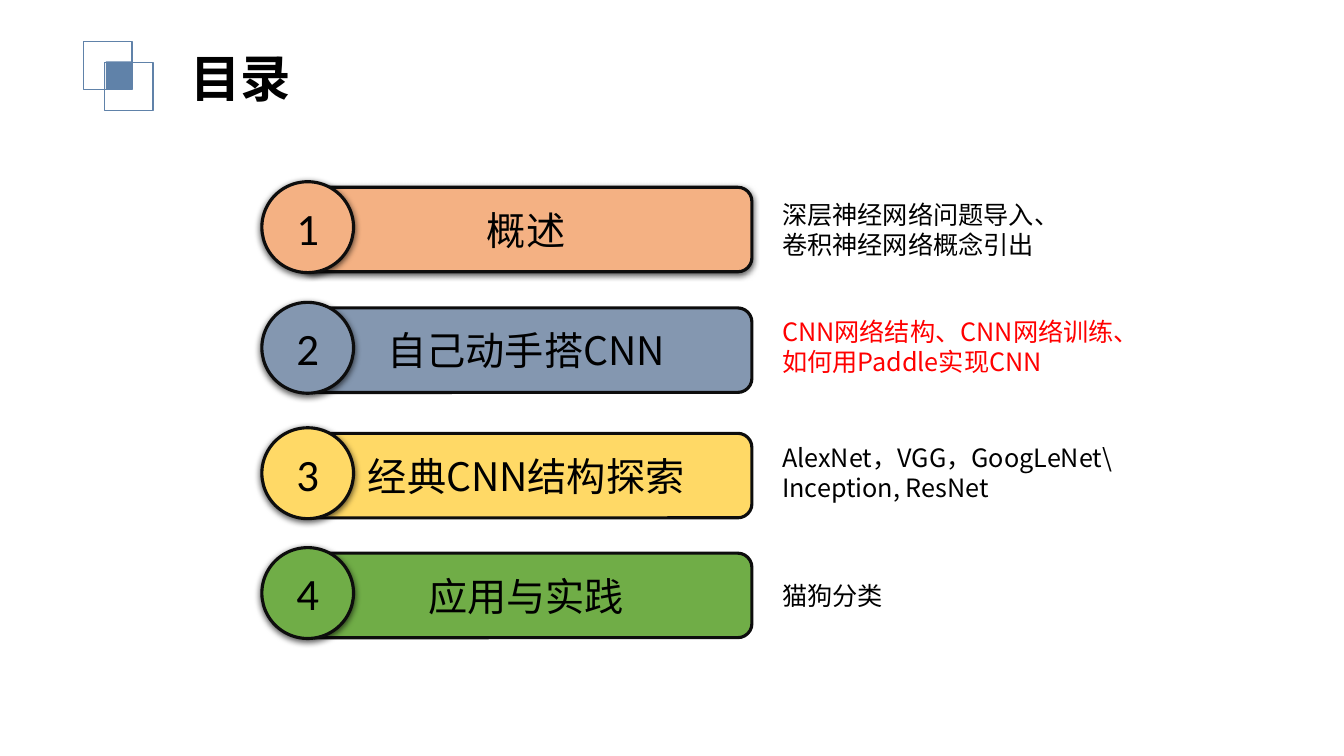
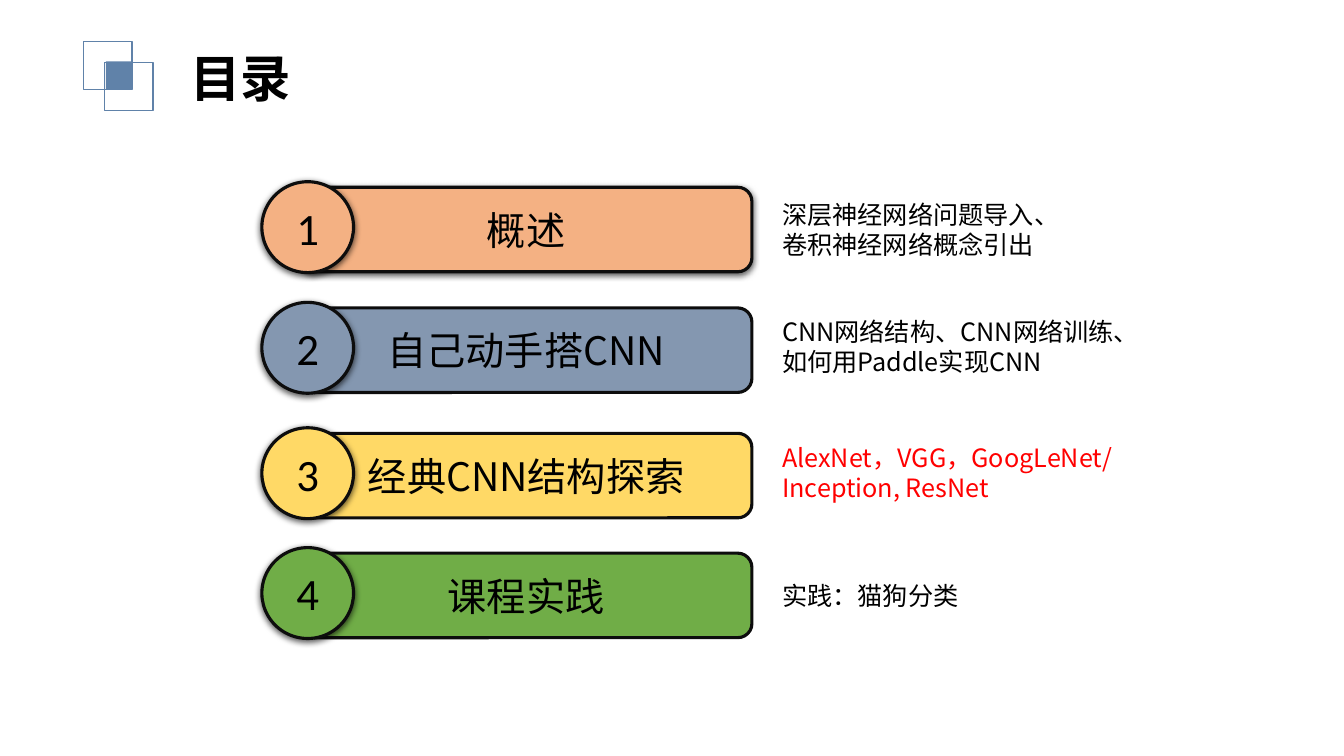
from lxml.etree import SubElement
from pptx import Presentation
from pptx.dml.color import RGBColor
from pptx.enum.shapes import MSO_SHAPE
from pptx.enum.text import MSO_ANCHOR, MSO_AUTO_SIZE, PP_ALIGN
from pptx.oxml.ns import qn
from pptx.util import Cm, Pt

BLACK = RGBColor(0x00, 0x00, 0x00)
RED = RGBColor(0xFF, 0x00, 0x00)
INK = RGBColor(0x0D, 0x0D, 0x0D)
STEEL = RGBColor(0x60, 0x82, 0xA9)
PEACH = RGBColor(0xF4, 0xB1, 0x83)
SLATE = RGBColor(0x84, 0x97, 0xB0)
GOLD = RGBColor(0xFF, 0xD9, 0x66)
GREEN = RGBColor(0x70, 0xAD, 0x47)
HAN = "Noto Sans CJK SC"
LATIN = "Calibri"

ROWS = [
    (PEACH, 4.72, 4.9),
    (SLATE, 7.76, 7.85),
    (GOLD, 10.92, 11.02),
    (GREEN, 13.94, 14.5),
]
INTRO = ("概述", "深层神经网络问题导入、\n卷积神经网络概念引出")
BUILD = ("自己动手搭CNN", "CNN网络结构、CNN网络训练、如何用Paddle实现CNN")
PAGES = [
    (2, [INTRO, BUILD,
         ("经典CNN结构探索", "AlexNet，VGG，GoogLeNet\\ Inception, ResNet"),
         ("应用与实践", "猫狗分类")]),
    (3, [INTRO, BUILD,
         ("经典CNN结构探索", "AlexNet，VGG，GoogLeNet/ Inception, ResNet"),
         ("课程实践", "实践：猫狗分类")]),
]


def write(frame, text, size=18, font=HAN, color=BLACK, bold=False,
          align=PP_ALIGN.LEFT):
    frame.word_wrap = True
    for index, line in enumerate(text.split("\n")):
        para = frame.paragraphs[0] if index == 0 else frame.add_paragraph()
        para.alignment = align
        run = para.add_run()
        run.text = line
        run.font.size = Pt(size)
        run.font.bold = bold
        run.font.color.rgb = color
        run.font.name = font
        SubElement(run.font._element, qn("a:ea"), typeface=font)


class Deck:
    def __init__(self):
        self.prs = Presentation()
        self.prs.slide_width = Cm(33.87)
        self.prs.slide_height = Cm(19.05)
        self.slide = None

    def page(self, title):
        self.slide = self.prs.slides.add_slide(self.prs.slide_layouts[6])
        for left, top in ((2.11, 1.04), (2.64, 1.57)):
            self.shape(MSO_SHAPE.RECTANGLE, left, top, 1.22, 1.22,
                       line=STEEL, weight=1)
        self.shape(MSO_SHAPE.RECTANGLE, 2.67, 1.55, 0.64, 0.69, fill=STEEL)
        self.label(title, 4.55, 1.07, 9.04, size=36, bold=True)

    def shape(self, kind, left, top, width, height, fill=None, line=None,
              weight=2.25):
        shape = self.slide.shapes.add_shape(
            kind, Cm(left), Cm(top), Cm(width), Cm(height))
        shape.shadow.inherit = False
        if fill is None:
            shape.fill.background()
        else:
            shape.fill.solid()
            shape.fill.fore_color.rgb = fill
        if line is None:
            shape.line.fill.background()
        else:
            shape.line.color.rgb = line
            shape.line.width = Pt(weight)
        return shape

    def label(self, text, left, top, width, **style):
        height = 1.8 if style.get("size") or len(text) > 12 else 1.02
        box = self.slide.shapes.add_textbox(
            Cm(left), Cm(top), Cm(width), Cm(height))
        write(box.text_frame, text, **style)
        box.text_frame.auto_size = MSO_AUTO_SIZE.SHAPE_TO_FIT_TEXT

    def shade(self, shape):
        effects = shape._element.spPr.find(qn("a:effectLst"))
        outer = SubElement(effects, qn("a:outerShdw"), blurRad=str(Pt(4.5)),
                           dist=str(Pt(1.5)), dir="5400000", rotWithShape="0")
        color = SubElement(outer, qn("a:srgbClr"), val=str(BLACK))
        SubElement(color, qn("a:alpha"), val="63000")

    def block(self, kind, text, left, top, width, height, fill, shadow=True,
              **style):
        shape = self.shape(kind, left, top, width, height, fill, INK)
        if shadow:
            self.shade(shape)
        shape.text_frame.vertical_anchor = MSO_ANCHOR.MIDDLE
        write(shape.text_frame, text, align=PP_ALIGN.CENTER, **style)

    def topic(self, number, name, note, active):
        fill, top, level = ROWS[number - 1]
        self.block(MSO_SHAPE.ROUNDED_RECTANGLE, name, 7.57, top, 11.38, 2.13,
                   fill, shadow=number == 1, size=28)
        self.block(MSO_SHAPE.OVAL, str(number), 6.6, top - 0.14, 2.31, 2.29,
                   fill, size=32, font=LATIN)
        self.label(note, 19.46, level, 9.55, color=RED if active else BLACK)


def main():
    deck = Deck()
    for active, topics in PAGES:
        deck.page("目录")
        for number, (name, note) in enumerate(topics, 1):
            deck.topic(number, name, note, number == active)
    deck.prs.save("out.pptx")


if __name__ == "__main__":
    main()
